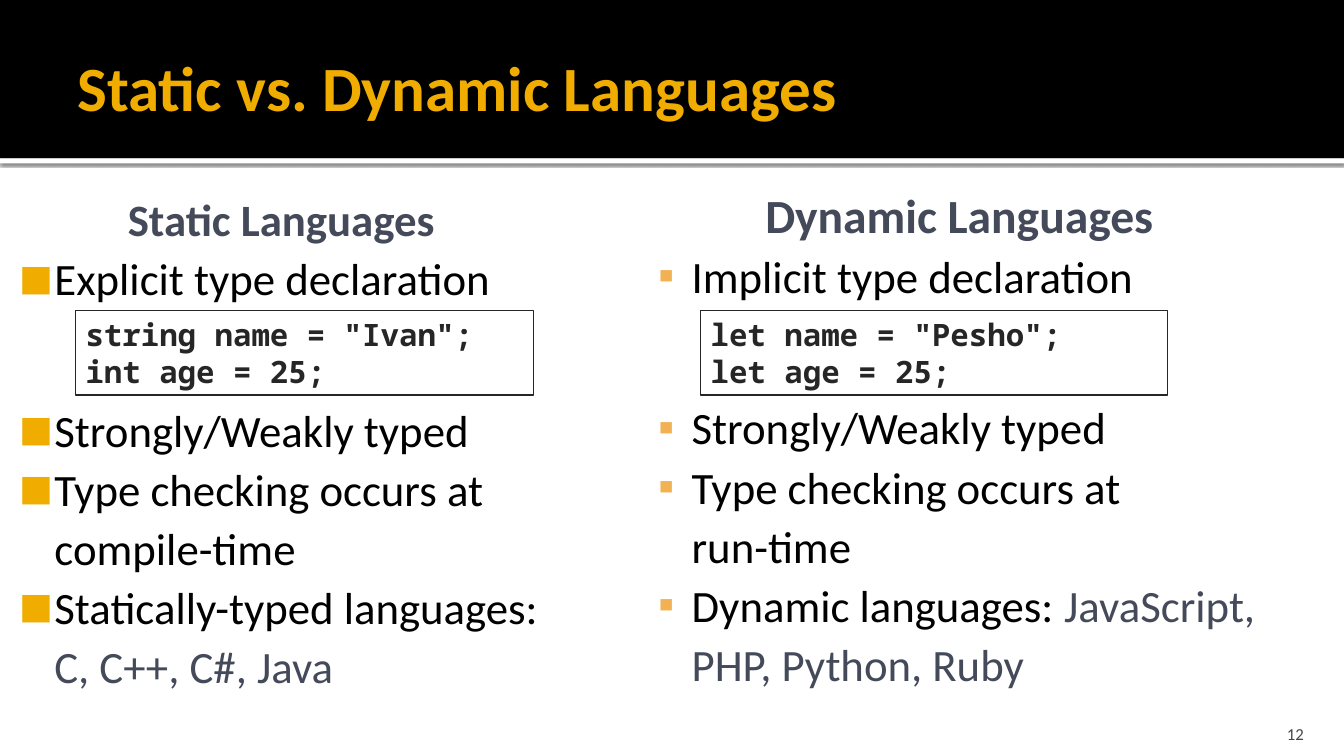
from lxml.etree import SubElement
from pptx import Presentation
from pptx.dml.color import RGBColor
from pptx.enum.shapes import MSO_SHAPE
from pptx.enum.text import MSO_ANCHOR, PP_ALIGN
from pptx.oxml.ns import qn
from pptx.util import Inches, Pt

COLORS = {
    "black": "000000", "white": "FFFFFF", "gold": "F0AD00", "amber": "F2B254",
    "slate": "444A5A", "code": "262626", "page": "454545",
}
CODE_GAP = 66  # points left free for the code box


def color(name):
    return RGBColor.from_string(COLORS[name])


def add(parent, tag, **attrs):
    return SubElement(parent, qn(tag), {k: str(v) for k, v in attrs.items()})


def add_rect(slide, box, fill=None, line=None):
    rect = slide.shapes.add_shape(MSO_SHAPE.RECTANGLE, *map(Inches, box))
    rect.shadow.inherit = False
    if fill:
        rect.fill.solid()
        rect.fill.fore_color.rgb = color(fill)
    else:
        rect.fill.background()
    if line:
        rect.line.color.rgb = color(line)
        rect.line.width = Pt(1)
    else:
        rect.line.fill.background()
    return rect


def add_shadow(shape):
    effects = shape._element.spPr.find(qn("a:effectLst"))
    outer = add(effects, "a:outerShdw", blurRad=Pt(2.5), dist=Pt(0.8),
                dir=90 * 60000, algn="t", rotWithShape=0)
    tint = add(outer, "a:srgbClr", val=COLORS["black"])
    add(tint, "a:alpha", val=60000)


def set_alpha(shape, percent):
    tint = shape._element.spPr.find(qn("a:solidFill"))[0]
    add(tint, "a:alpha", val=percent * 1000)


def set_frame(shape, insets, anchor=MSO_ANCHOR.TOP):
    frame = shape.text_frame
    frame.word_wrap = True
    frame.vertical_anchor = anchor
    (frame.margin_left, frame.margin_top,
     frame.margin_right, frame.margin_bottom) = map(Inches, insets)
    return frame


def add_frame(slide, box, insets, anchor=MSO_ANCHOR.TOP):
    return set_frame(slide.shapes.add_textbox(*map(Inches, box)), insets, anchor)


def add_text(frame, *runs, size, tint, font="Calibri", bold=False,
             align=PP_ALIGN.LEFT, spacing=1.0, before=0):
    """Add a paragraph; a run is a text, or a (text, color name) pair."""
    para = frame.paragraphs[0]
    if para.runs:
        para = frame.add_paragraph()
    para.alignment = align
    para.line_spacing = spacing
    para.space_before = Pt(before)
    for item in runs:
        text, shade = (item, tint) if isinstance(item, str) else item
        for i, part in enumerate(text.split("\n")):
            if i:
                para.add_line_break()
            run = para.add_run()
            run.text = part
            run.font.name = font
            run.font.size = Pt(size)
            run.font.bold = bold
            run.font.color.rgb = color(shade)
    return para


def set_bullet(para, char, tint, scale, left, hang):
    props = para._p.get_or_add_pPr()
    props.set("marL", str(Inches(left)))
    props.set("indent", str(-Inches(hang)))
    add(add(props, "a:buClr"), "a:srgbClr", val=COLORS[tint])
    add(props, "a:buSzPct", val=scale * 1000)
    add(props, "a:buFont", typeface="Calibri")
    add(props, "a:buChar", char=char)


def add_column(slide, box, insets, head, size, items, bullet):
    frame = add_frame(slide, box, insets)
    add_text(frame, head, size=size, tint="slate", bold=True,
             align=PP_ALIGN.CENTER, spacing=1.1)
    for i, runs in enumerate(items):
        para = add_text(frame, *runs, size=32, tint="black", spacing=1.1,
                        before=CODE_GAP if i == 1 else 0)
        set_bullet(para, *bullet)


def add_code(slide, left, width, lines, fill=None):
    rect = add_rect(slide, (left, 3.08, width, 0.84), fill, "code")
    frame = set_frame(rect, (0.1, 0.05, 0.1, 0.05))
    for line in lines:
        add_text(frame, line, size=22, tint="code", font="Noto Sans Mono",
                 bold=True)
    return rect


def main():
    deck = Presentation()
    deck.slide_width, deck.slide_height = Inches(13.33), Inches(7.5)
    slide = deck.slides.add_slide(deck.slide_layouts[6])

    add_shadow(add_rect(slide, (0, 1.57, 13.33, 0.05), "white"))
    add_rect(slide, (0, 0, 13.33, 1.57), "black")
    title = add_frame(slide, (0.67, 0.17, 12, 1.37), (0.1, 0.05, 0.05, 0.05),
                      MSO_ANCHOR.MIDDLE)
    add_text(title, "Static vs. Dynamic Languages", size=45, tint="gold",
             bold=True)

    add_column(slide, (0, 1.75, 5.62, 5.42), (0.06, 0.1, 0.1, 0.05),
               "Static Languages", 32,
               [["Explicit type declaration"],
                ["Strongly/Weakly typed"],
                ["Type checking occurs at compile-time"],
                ["Statically-typed languages: ", ("C, C++, C#, Java", "slate")]],
               ("■", "gold", 80, 0.48, 0.35))
    add_code(slide, 0.75, 4.54, ['string name = "Ivan";', "int age = 25;"])

    add_column(slide, (6.41, 1.75, 6.21, 5.42), (0.12, 0.04, 0.12, 0.04),
               "Dynamic Languages", 34,
               [["Implicit type declaration"],
                ["Strongly/Weakly typed"],
                ["Type checking occurs at\nrun-time"],
                ["Dynamic languages: ",
                 ("JavaScript, PHP, Python, Ruby", "slate")]],
               ("▪", "amber", 100, 0.33, 0.33))
    code = add_code(slide, 6.95, 4.63, ['let name = "Pesho";', "let age = 25;"],
                    "white")
    set_alpha(code, 15)

    page = add_frame(slide, (11.96, 7.08, 1.07, 0.3), (0.1, 0.05, 0.1, 0),
                     MSO_ANCHOR.BOTTOM)
    add_text(page, "12", size=12, tint="page", align=PP_ALIGN.RIGHT)
    deck.save("out.pptx")


if __name__ == "__main__":
    main()
